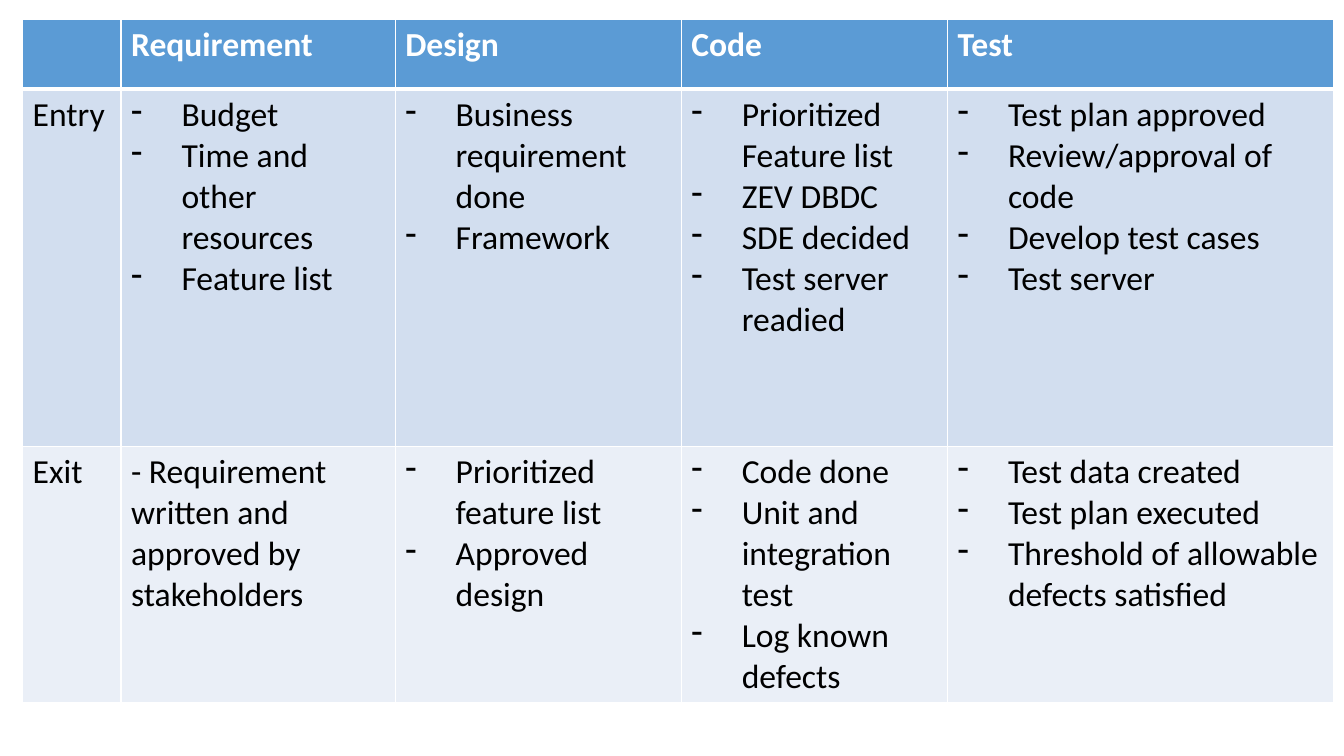
from lxml.etree import SubElement
from pptx import Presentation
from pptx.dml.color import RGBColor
from pptx.oxml.ns import qn
from pptx.util import Cm, Pt

WHITE = RGBColor(0xFF, 0xFF, 0xFF)
BLACK = RGBColor(0x00, 0x00, 0x00)
HEADER_BLUE = RGBColor(0x5B, 0x9B, 0xD5)
ENTRY_BLUE = RGBColor(0xD2, 0xDE, 0xEF)
EXIT_BLUE = RGBColor(0xEA, 0xEF, 0xF7)

COLUMN_WIDTHS = [2.48, 6.91, 7.21, 6.71, 9.73]
ROW_HEIGHTS = [1.75, 9.0, 6.43]
ROW_FILLS = [HEADER_BLUE, ENTRY_BLUE, EXIT_BLUE]

# A string is plain text; a list becomes dashed items.
CRITERIA = [
    ["", "Requirement", "Design", "Code", "Test"],
    [
        "Entry",
        ["Budget", "Time and other resources", "Feature list"],
        ["Business requirement done", "Framework"],
        ["Prioritized Feature list", "ZEV DBDC", "SDE decided", "Test server readied"],
        ["Test plan approved", "Review/approval of code", "Develop test cases", "Test server"],
    ],
    [
        "Exit",
        "- Requirement written and approved by stakeholders",
        ["Prioritized feature list", "Approved design"],
        ["Code done", "Unit and integration test", "Log known defects"],
        ["Test data created", "Test plan executed", "Threshold of allowable defects satisfied"],
    ],
]


def write_text(paragraph, text, size=24, color=BLACK, bold=False, font="Calibri"):
    run = paragraph.add_run()
    run.text = text
    run.font.name = font
    run.font.size = Pt(size)
    run.font.bold = bold
    run.font.color.rgb = color


def add_dash(paragraph, indent=Cm(1.27)):
    """Give the paragraph a dash bullet with a hanging indent."""
    properties = paragraph._p.get_or_add_pPr()
    properties.set("marL", str(indent))
    properties.set("indent", str(-indent))
    SubElement(properties, qn("a:buFontTx"))
    SubElement(properties, qn("a:buChar"), char="-")


def add_border(cell, side, width):
    line = SubElement(cell._tc.get_or_add_tcPr(), qn(f"a:ln{side}"), w=str(Pt(width)))
    fill = SubElement(line, qn("a:solidFill"))
    SubElement(fill, qn("a:srgbClr"), val=str(WHITE))


def fill_cell(cell, content, fill, top=1, bottom=1, **text_format):
    """Style a cell; top and bottom are border widths in points."""
    for side, width in {"L": 1, "R": 1, "T": top, "B": bottom}.items():
        add_border(cell, side, width)
    cell.fill.solid()
    cell.fill.fore_color.rgb = fill
    dashed = isinstance(content, list)
    frame = cell.text_frame
    for index, item in enumerate(content if dashed else [content]):
        paragraph = frame.add_paragraph() if index else frame.paragraphs[0]
        if dashed:
            add_dash(paragraph)
        if item:
            write_text(paragraph, item, **text_format)


def add_criteria_table(slide):
    table = slide.shapes.add_table(
        len(ROW_HEIGHTS), len(COLUMN_WIDTHS), Cm(0.57), Cm(0.5),
        Cm(sum(COLUMN_WIDTHS)), Cm(sum(ROW_HEIGHTS)),
    ).table
    for column, width in zip(table.columns, COLUMN_WIDTHS):
        column.width = Cm(width)
    for row_index, (contents, height, fill) in enumerate(zip(CRITERIA, ROW_HEIGHTS, ROW_FILLS)):
        table.rows[row_index].height = Cm(height)
        is_header = row_index == 0
        for cell, content in zip(table.rows[row_index].cells, contents):
            fill_cell(
                cell, content, fill,
                top=3 if row_index == 1 else 1,
                bottom=3 if is_header else 1,
                color=WHITE if is_header else BLACK,
                bold=is_header,
            )


def main():
    presentation = Presentation()
    presentation.slide_width = Cm(33.87)
    presentation.slide_height = Cm(19.05)
    slide = presentation.slides.add_slide(presentation.slide_layouts[6])
    add_criteria_table(slide)
    presentation.save("out.pptx")


if __name__ == "__main__":
    main()
